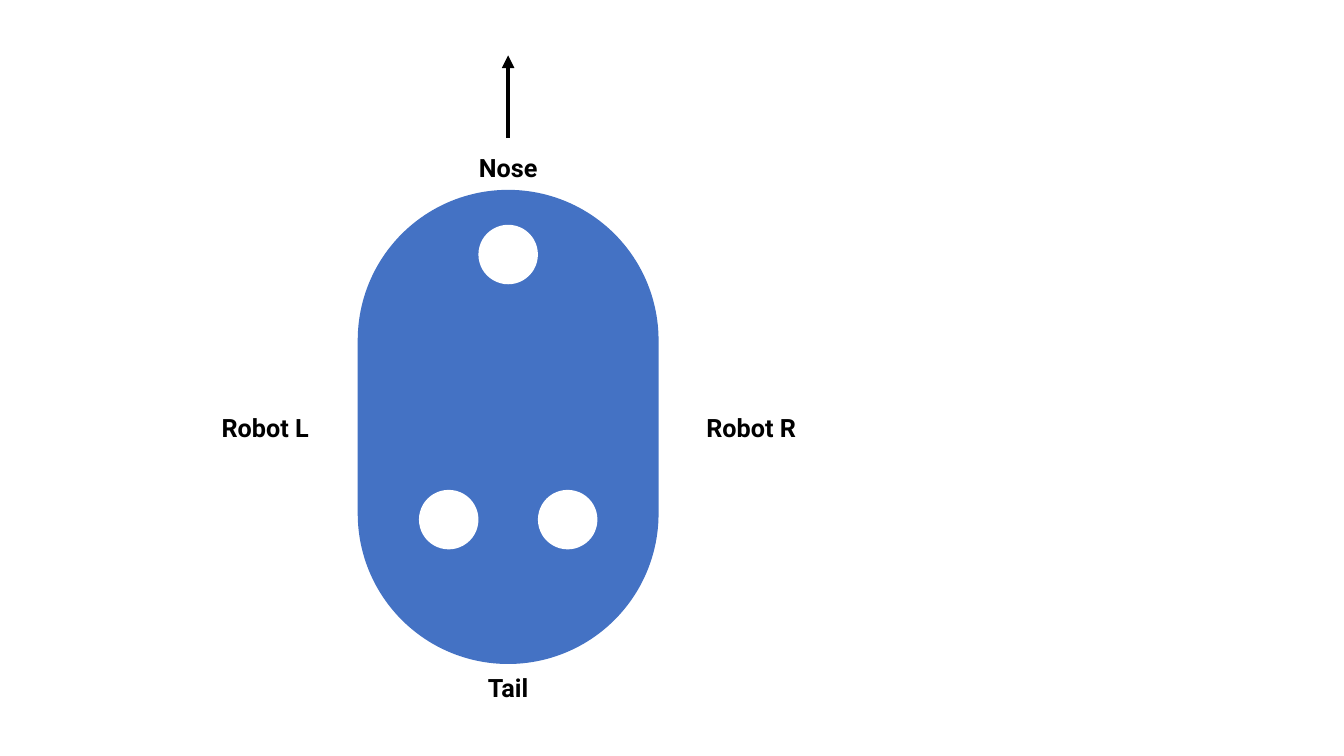
from typing import NamedTuple

from lxml import etree
from pptx import Presentation
from pptx.dml.color import RGBColor
from pptx.enum.shapes import MSO_CONNECTOR, MSO_SHAPE
from pptx.enum.text import MSO_AUTO_SIZE, PP_ALIGN
from pptx.oxml.ns import qn
from pptx.slide import Slide
from pptx.util import Inches, Pt

ROUNDED = MSO_SHAPE.ROUNDED_RECTANGLE
OVAL = MSO_SHAPE.OVAL
STRAIGHT = MSO_CONNECTOR.STRAIGHT
CENTER = PP_ALIGN.CENTER
FIT_SHAPE = MSO_AUTO_SIZE.SHAPE_TO_FIT_TEXT

BLUE = RGBColor(0x44, 0x72, 0xC4)
WHITE = RGBColor(0xFF, 0xFF, 0xFF)
BLACK = RGBColor(0x00, 0x00, 0x00)

LABEL_FORMAT = {"name": "Roboto", "size": Pt(18), "bold": True}

# Robot geometry in inches
AXIS_X = 5.04
BODY_WIDTH, BODY_HEIGHT, BODY_TOP = 2.97, 4.69, 1.89
WHEEL_SIZE = 0.59
LABEL_HEIGHT = 0.4


class Label(NamedTuple):
    text: str
    center_x: float
    top: float
    width: float


class Wheel(NamedTuple):
    center_x: float
    top: float


LABELS = [
    Label("Nose", AXIS_X, 1.46, 2.15),
    Label("Robot L", AXIS_X - 2.41, 4.04, 1.85),
    Label("Robot R", AXIS_X + 2.41, 4.04, 1.85),
    Label("Tail", AXIS_X, 6.62, 2.15),
]
WHEELS = [
    Wheel(AXIS_X, 2.23),
    Wheel(AXIS_X + WHEEL_SIZE, 4.86),
    Wheel(AXIS_X - WHEEL_SIZE, 4.86),
]


def draw_body(slide: Slide) -> None:
    body = slide.shapes.add_shape(
        ROUNDED, Inches(AXIS_X - BODY_WIDTH / 2), Inches(BODY_TOP),
        Inches(BODY_WIDTH), Inches(BODY_HEIGHT))
    body.adjustments[0] = 0.5
    body.shadow.inherit = False
    body.fill.solid()
    body.fill.fore_color.rgb = BLUE
    body.line.color.rgb = BLUE
    body.line.width = Pt(1)


def draw_label(slide: Slide, label: Label) -> None:
    box = slide.shapes.add_textbox(
        Inches(label.center_x - label.width / 2), Inches(label.top),
        Inches(label.width), Inches(LABEL_HEIGHT))
    frame = box.text_frame
    frame.word_wrap = True
    frame.auto_size = FIT_SHAPE
    paragraph = frame.paragraphs[0]
    paragraph.alignment = CENTER
    run = paragraph.add_run()
    run.text = label.text
    for attribute, value in LABEL_FORMAT.items():
        setattr(run.font, attribute, value)
    run.font.color.rgb = BLACK


def draw_wheel(slide: Slide, wheel: Wheel) -> None:
    circle = slide.shapes.add_shape(
        OVAL, Inches(wheel.center_x - WHEEL_SIZE / 2), Inches(wheel.top),
        Inches(WHEEL_SIZE), Inches(WHEEL_SIZE))
    circle.shadow.inherit = False
    circle.fill.solid()
    circle.fill.fore_color.rgb = WHITE
    circle.line.fill.background()


def draw_heading_arrow(slide: Slide) -> None:
    arrow = slide.shapes.add_connector(
        STRAIGHT, Inches(AXIS_X), Inches(1.37), Inches(AXIS_X), Inches(0.55))
    arrow.line.color.rgb = BLACK
    arrow.line.width = Pt(3)
    properties = arrow.line._get_or_add_ln()
    etree.SubElement(properties, qn("a:tailEnd"), type="triangle")
    etree.SubElement(properties.getparent(), qn("a:effectLst"))


def main() -> None:
    presentation = Presentation()
    presentation.slide_width = Inches(13.33)
    presentation.slide_height = Inches(7.5)
    slide = presentation.slides.add_slide(presentation.slide_layouts[6])

    # Robot body with its side labels
    draw_body(slide)
    for label in LABELS:
        draw_label(slide, label)

    # Wheels and direction of travel
    for wheel in WHEELS:
        draw_wheel(slide, wheel)
    draw_heading_arrow(slide)

    presentation.save("out.pptx")


if __name__ == "__main__":
    main()
